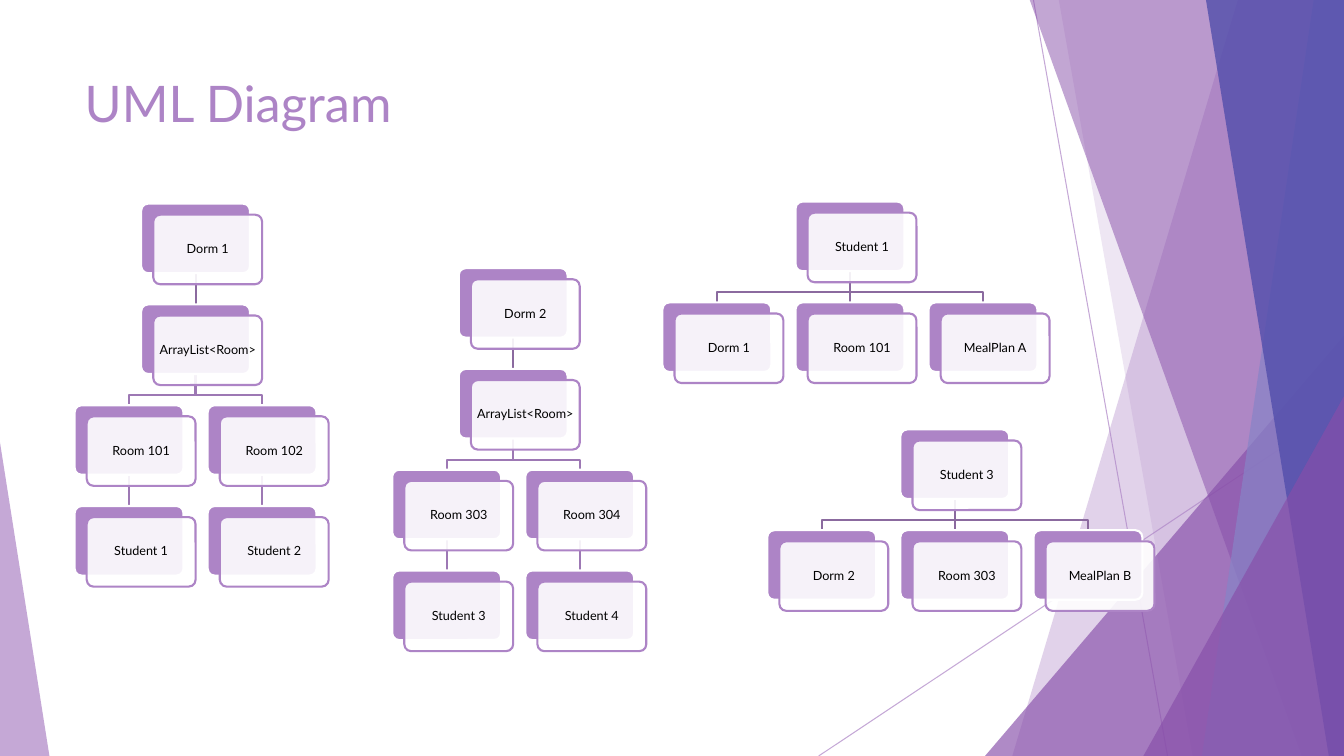
import pptx
import pptx.util
import pptx.dml.color
import pptx.enum.shapes
import pptx.enum.text
import pptx.oxml.ns
import lxml.etree

Inches, Pt = pptx.util.Inches, pptx.util.Pt
RGB = pptx.dml.color.RGBColor
SHAPE = pptx.enum.shapes.MSO_SHAPE
ALIGN = pptx.enum.text.PP_ALIGN
ANCHOR = pptx.enum.text.MSO_ANCHOR

LILAC = RGB(0xAD, 0x84, 0xC6)
PURPLE = RGB(0x87, 0x4E, 0xA9)
PERIWINKLE = RGB(0x87, 0x84, 0xC7)
INDIGO = RGB(0x52, 0x4E, 0xAB)
LINK_TOP = RGB(0x8B, 0x6A, 0x9F)
LINK_LOW = RGB(0x9D, 0x78, 0xB4)
WHITE = RGB(0xFF, 0xFF, 0xFF)
BLACK = RGB(0, 0, 0)

SLIDE_W, SLIDE_H = 13.33, 7.5
CARD_W, CARD_H = 1.08, 0.69
COL_STEP, ROW_STEP = 1.32, 1.0
FRONT_DX, FRONT_DY = 0.12, 0.11
TEXT_INSET = 0.02
BEND = 0.1  # height of an elbow above the child card


# Formatting helpers
def set_opacity(sp, percent):
    color = sp.element.xpath("p:spPr//a:srgbClr")[0]
    alpha = lxml.etree.SubElement(color, pptx.oxml.ns.qn("a:alpha"))
    alpha.set("val", str(percent * 1000))


def style(sp, fill=None, opacity=100, line=None, width=1.5):
    sp.shadow.inherit = False
    if fill is None:
        sp.fill.background()
    else:
        sp.fill.solid()
        sp.fill.fore_color.rgb = fill
        if opacity < 100:
            set_opacity(sp, opacity)
    if line is None:
        sp.line.fill.background()
    else:
        sp.line.color.rgb = line
        sp.line.width = Pt(width)


def set_text(tf, text, size=9, color=BLACK, align=ALIGN.LEFT, anchor=ANCHOR.TOP,
             inset=None, spacing=None, after=None):
    tf.word_wrap = True
    tf.vertical_anchor = anchor
    if inset is not None:
        tf.margin_left = tf.margin_right = Inches(inset)
        tf.margin_top = tf.margin_bottom = Inches(inset)
    p = tf.paragraphs[0]
    p.alignment = align
    if spacing is not None:
        p.line_spacing = spacing
    if after is not None:
        p.space_after = Pt(after)
    r = p.add_run()
    r.text = text
    r.font.name, r.font.size, r.font.color.rgb = "Lato", Pt(size), color


# Drawing helpers
def add_path(s, points, close=False):
    pts = [(Inches(x), Inches(y)) for x, y in points]
    builder = s.shapes.build_freeform(*pts[0], scale=1.0)
    builder.add_line_segments(pts[1:], close=close)
    return builder.convert_to_shape()


def add_line(s, start, end, color, width):
    ends = [Inches(v) for v in (*start, *end)]
    line = s.shapes.add_connector(pptx.enum.shapes.MSO_CONNECTOR.STRAIGHT, *ends)
    line.line.color.rgb = color
    line.line.width = Pt(width)
    lxml.etree.SubElement(line.element.spPr, pptx.oxml.ns.qn("a:effectLst"))
    return line


def add_box(s, kind, left, top, width, height, adj):
    sp = s.shapes.add_shape(kind, Inches(left), Inches(top), Inches(width), Inches(height))
    sp.adjustments[0] = adj
    return sp


# Faceted background
def add_band(s, top_x, bottom_x, color, opacity):
    sp = add_path(s, [(top_x, -0.01), (SLIDE_W, -0.01), (SLIDE_W, SLIDE_H),
                      (bottom_x, SLIDE_H)], close=True)
    style(sp, color, opacity)


def add_facet(s, left, top, width, apex, color, opacity):
    sp = add_box(s, SHAPE.ISOSCELES_TRIANGLE, left, top, width, SLIDE_H - top, apex)
    style(sp, color, opacity)


def add_background(s):
    for start, end in (((10.25, 0), (11.58, SLIDE_H)), ((SLIDE_W, 4.03), (8.12, SLIDE_H))):
        set_opacity(add_line(s, start, end, LILAC, 0.75), 70)
    add_band(s, 12.28, 10.04, LILAC, 36)
    add_band(s, 10.5, 11.83, LILAC, 20)
    add_facet(s, 9.77, 3.33, 3.56, 1, PURPLE, 66)
    add_band(s, 10.21, 12.91, PURPLE, 50)
    add_band(s, 13.03, 11.92, PERIWINKLE, 70)
    add_band(s, 11.96, 13.18, INDIGO, 80)
    add_facet(s, 11.34, 3.93, 1.99, 1, PURPLE, 66)
    add_facet(s, 0, 4.39, 0.49, 0, LILAC, 70)


# Title
def add_title(s, text, left, top, width, height):
    title = s.shapes.title
    title.left, title.top = Inches(left), Inches(top)
    title.width, title.height = Inches(width), Inches(height)
    set_text(title.text_frame, text, size=36, color=LILAC)
    title.element.getparent().append(title.element)  # in front of the background


# Object trees: a node is (label, child, child, ...)
def leaf_count(node):
    return sum(map(leaf_count, node[1:])) or 1


def layout(node, left, top, depth=0):
    """Return (label, x, y, depth, children), each parent centred over its leaves."""
    x = left + (leaf_count(node) - 1) * COL_STEP / 2
    children, child_left = [], left
    for child in node[1:]:
        children.append(layout(child, child_left, top + ROW_STEP, depth + 1))
        child_left += leaf_count(child) * COL_STEP
    return node[0], x, top, depth, children


def add_links(s, placed):
    _, x, y, depth, children = placed
    color = LINK_LOW if depth else LINK_TOP
    if depth == 1:
        color = LINK_LOW
    start_x, start_y = x + CARD_W / 2, y + CARD_H
    for child in children:
        end_x, end_y = child[1] + CARD_W / 2, child[2]
        if abs(end_x - start_x) < 0.01:
            add_line(s, (start_x, start_y), (start_x, end_y), color, 1.5)
        else:
            bend_y = end_y - BEND
            elbow = add_path(s, [(start_x, start_y), (start_x, bend_y),
                                 (end_x, bend_y), (end_x, end_y)])
            style(elbow, line=color)
        add_links(s, child)


def add_cards(s, placed):
    label, x, y, _, children = placed
    back = add_box(s, SHAPE.ROUNDED_RECTANGLE, x, y, CARD_W, CARD_H, 0.1)
    style(back, LILAC, line=WHITE)
    x, y = x + FRONT_DX, y + FRONT_DY
    front = add_box(s, SHAPE.ROUNDED_RECTANGLE, x, y, CARD_W, CARD_H, 0.1)
    style(front, WHITE, 90, line=LILAC)
    tb = s.shapes.add_textbox(Inches(x + TEXT_INSET), Inches(y + TEXT_INSET),
                              Inches(CARD_W - 2 * TEXT_INSET),
                              Inches(CARD_H - 2 * TEXT_INSET))
    set_text(tb.text_frame, label, align=ALIGN.CENTER, anchor=ANCHOR.MIDDLE,
             inset=0.04, spacing=0.9, after=3)
    for child in children:
        add_cards(s, child)


def add_tree(s, root, left, top):
    placed = layout(root, left, top)
    add_links(s, placed)
    add_cards(s, placed)


TREES = [
    (0.74, 2.02, ("Dorm 1", ("ArrayList<Room>", ("Room 101", ("Student 1",)),
                             ("Room 102", ("Student 2",))))),
    (3.89, 2.66, ("Dorm 2", ("ArrayList<Room>", ("Room 303", ("Student 3",)),
                             ("Room 304", ("Student 4",))))),
    (6.57, 2.0, ("Student 1", ("Dorm 1",), ("Room 101",), ("MealPlan A",))),
    (7.61, 4.26, ("Student 3", ("Dorm 2",), ("Room 303",), ("MealPlan B",))),
]

prs = pptx.Presentation()
prs.slide_width, prs.slide_height = Inches(SLIDE_W), Inches(SLIDE_H)
s = prs.slides.add_slide(prs.slide_layouts[5])
add_background(s)
add_title(s, "UML Diagram", 0.74, 0.67, 9.4, 1.44)
for left, top, root in TREES:
    add_tree(s, root, left, top)
prs.save("out.pptx")
